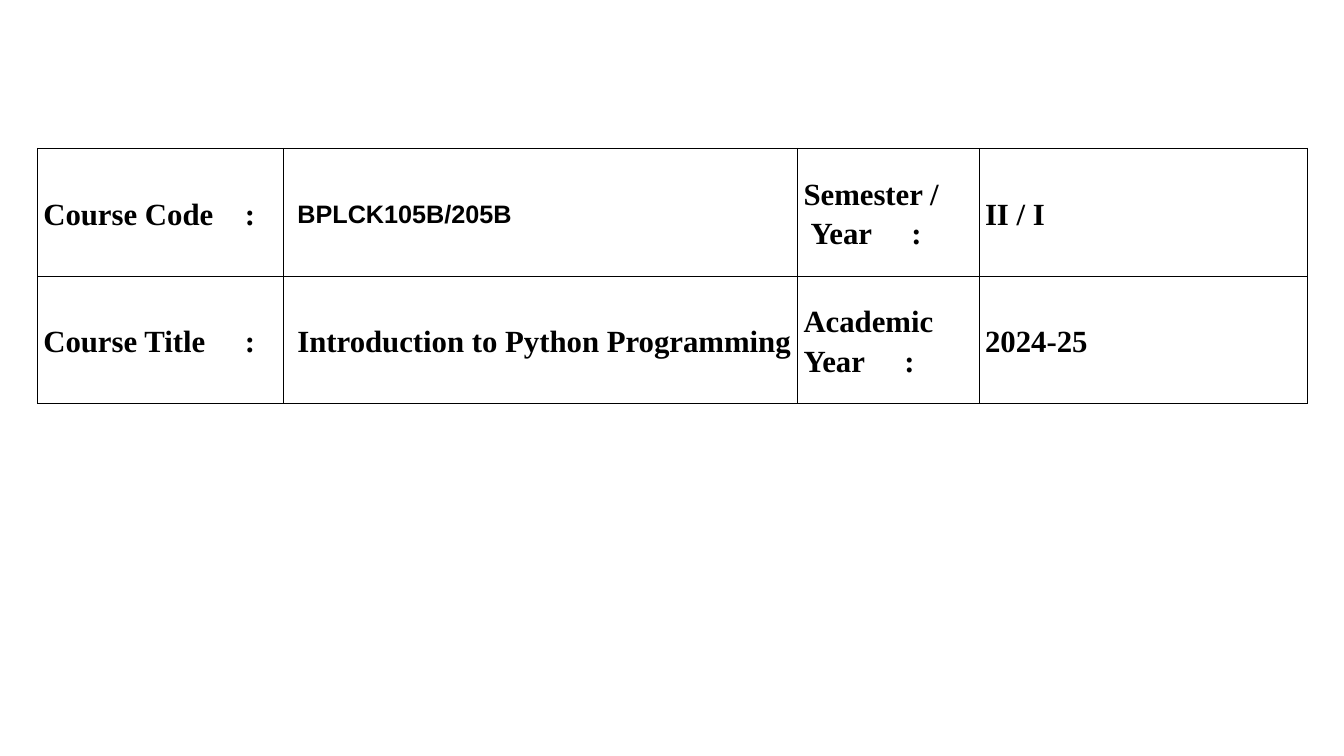
from dataclasses import dataclass

from lxml.etree import SubElement
from pptx import Presentation
from pptx.dml.color import RGBColor
from pptx.enum.text import MSO_ANCHOR, PP_ALIGN
from pptx.oxml import parse_xml
from pptx.oxml.ns import nsdecls, qn
from pptx.util import Inches, Pt


@dataclass(frozen=True)
class Theme:
    """Colours, fonts and type sizes of the slide."""
    ink: str = "000000"
    serif: str = "Times New Roman"
    sans: str = "Arial"
    text_size: int = 22
    code_size: int = 18
    border_width: float = 0.45
    line_spacing: float = 1.15


@dataclass(frozen=True)
class Line:
    """A paragraph with its indent and the tab stop of its colon, in inches."""
    text: str
    tab: float = 0
    indent: float = 0
    is_code: bool = False


THEME = Theme()
VALUE_INDENT = 0.08
COLUMN_WIDTHS = (2.44, 5.1, 1.8, 3.26)
ROW_HEIGHTS = (1.27, 1.26)
COURSE_ROWS = (
    (
        [Line("Course Code\t:", tab=1.84)],
        [Line("BPLCK105B/205B", indent=VALUE_INDENT, is_code=True)],
        [Line("Semester /"), Line("Year\t:", tab=0.82, indent=0.07)],
        [Line("II / I")],
    ),
    (
        [Line("Course Title\t:", tab=1.84)],
        [Line("Introduction to Python Programming", indent=VALUE_INDENT)],
        [Line("Academic Year\t:", tab=1.29)],
        [Line("2024-25")],
    ),
)


def write_line(paragraph, line):
    """Write one line of a cell with its tab stop, indent and font."""
    paragraph.text = line.text
    paragraph.alignment = PP_ALIGN.LEFT
    paragraph.line_spacing = THEME.line_spacing
    properties = paragraph._p.get_or_add_pPr()
    properties.set("marL", str(Inches(line.indent)))
    properties.set("indent", "0")
    if line.tab:
        tab_list = SubElement(properties, qn("a:tabLst"))
        SubElement(tab_list, qn("a:tab"), pos=str(Inches(line.tab)), algn="l")
    font = paragraph.font
    font.name = THEME.sans if line.is_code else THEME.serif
    font.size = Pt(THEME.code_size if line.is_code else THEME.text_size)
    font.bold = True
    font.color.rgb = RGBColor.from_string(THEME.ink)


def draw_borders(cell):
    """Give a cell a thin line on all four sides."""
    properties = cell._tc.get_or_add_tcPr()
    for position, side in enumerate(("lnL", "lnR", "lnT", "lnB")):
        border = parse_xml(
            f'<a:{side} {nsdecls("a")} w="{Pt(THEME.border_width)}">'
            f'<a:solidFill><a:srgbClr val="{THEME.ink}"/></a:solidFill>'
            f'</a:{side}>'
        )
        properties.insert(position, border)


def fill_cell(cell, lines):
    """Format a cell and write its lines."""
    cell.fill.background()
    cell.vertical_anchor = MSO_ANCHOR.MIDDLE
    cell.margin_left = cell.margin_right = Inches(0.06)
    cell.margin_top = cell.margin_bottom = Inches(0.05)
    draw_borders(cell)
    frame = cell.text_frame
    for index, line in enumerate(lines):
        paragraph = frame.add_paragraph() if index else frame.paragraphs[0]
        write_line(paragraph, line)


def add_course_table(slide):
    """Add the table of course details."""
    table = slide.shapes.add_table(
        len(ROW_HEIGHTS), len(COLUMN_WIDTHS), Inches(0.37), Inches(1.47),
        Inches(sum(COLUMN_WIDTHS)), Inches(sum(ROW_HEIGHTS)),
    ).table
    table.first_row = False
    table.horz_banding = False
    for column, width in zip(table.columns, COLUMN_WIDTHS):
        column.width = Inches(width)
    for row, height, contents in zip(table.rows, ROW_HEIGHTS, COURSE_ROWS):
        row.height = Inches(height)
        for cell, lines in zip(row.cells, contents):
            fill_cell(cell, lines)


def main():
    """Build the course details slide."""
    presentation = Presentation()
    presentation.slide_width = Inches(13.33)
    presentation.slide_height = Inches(7.5)
    slide = presentation.slides.add_slide(presentation.slide_layouts[6])
    add_course_table(slide)
    presentation.save("out.pptx")


if __name__ == "__main__":
    main()
